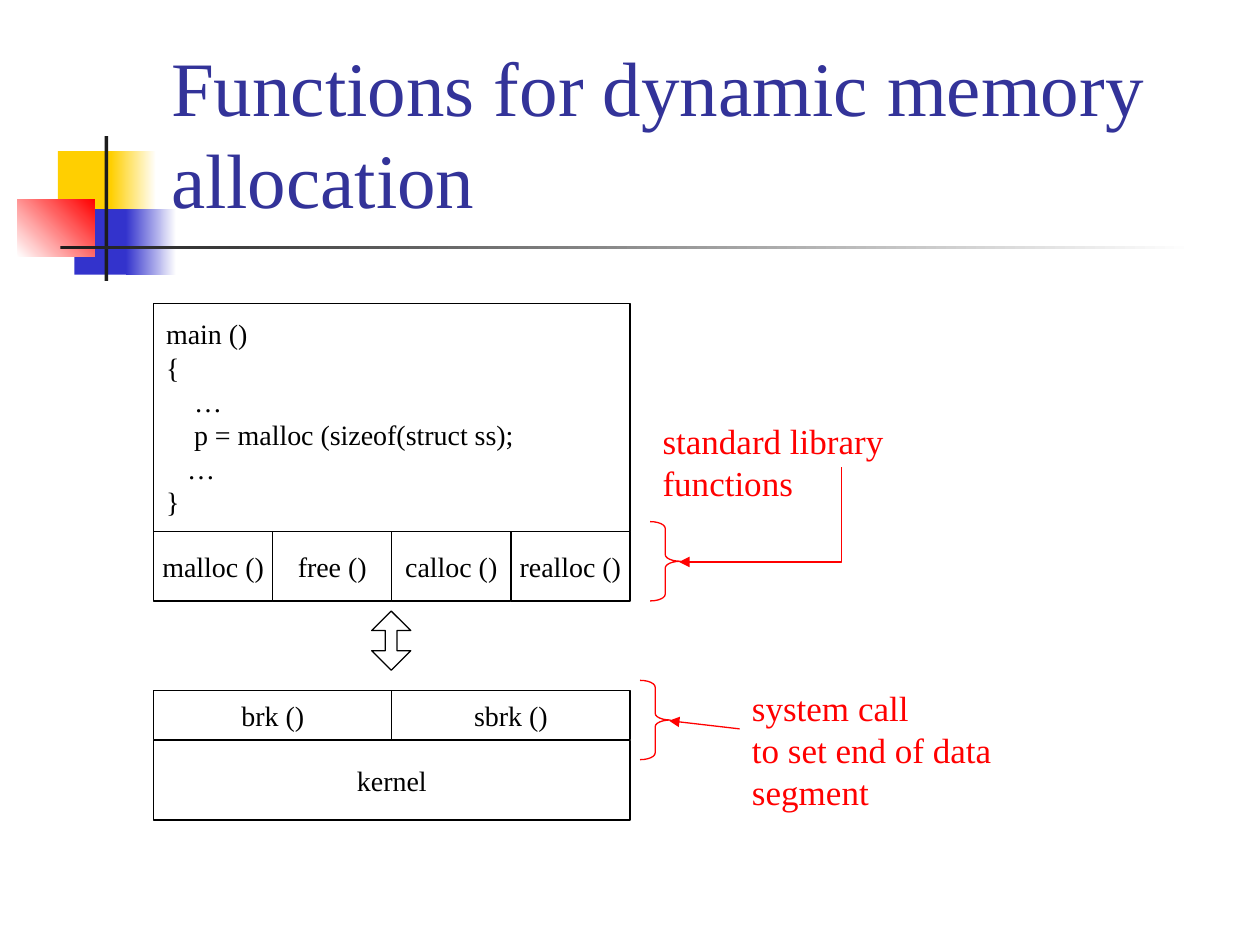
from dataclasses import dataclass

from lxml.etree import SubElement
from pptx import Presentation
from pptx.dml.color import RGBColor
from pptx.enum.shapes import MSO_CONNECTOR as Link, MSO_SHAPE as Shape
from pptx.enum.text import MSO_ANCHOR as Anchor, PP_ALIGN as Align
from pptx.oxml.ns import qn
from pptx.util import Inches, Pt


@dataclass(frozen=True)
class Theme:
    font: str = "Times New Roman"
    title: str = "333399"
    ink: str = "000000"
    note: str = "FF0000"
    yellow: str = "FFCF01"
    blue: str = "3333CC"
    red: str = "FF0000"
    dark: str = "1C1C1C"
    white: str = "FFFFFF"
    title_size: int = 44
    note_size: int = 20
    code_size: int = 16
    line_width: float = 0.75


class SlideBuilder:
    def __init__(self, slide, theme):
        self.slide = slide
        self.theme = theme

    def fill_text(self, box, lines, size, color, align, anchor, wrap=True):
        frame = box.text_frame
        frame.text = "\n".join(lines)
        frame.word_wrap = wrap
        frame.vertical_anchor = anchor
        for para in frame.paragraphs:
            para.alignment = align
            for span in para.runs:
                span.font.name = self.theme.font
                span.font.size = Pt(size)
                span.font.color.rgb = RGBColor.from_string(color)

    def shape(self, kind, area, adjustments=()):
        shape = self.slide.shapes.add_shape(kind, *map(Inches, area))
        shape.shadow.inherit = False
        for index, value in enumerate(adjustments):
            shape.adjustments[index] = value
        return shape

    def block(self, area, start, end=None, angle=0):
        block = self.shape(Shape.RECTANGLE, area)
        block.line.fill.background()
        if end is None:
            block.fill.solid()
            block.fill.fore_color.rgb = RGBColor.from_string(start)
            return
        block.fill.gradient()
        block.fill.gradient_angle = angle
        for stop, color in zip(block.fill.gradient_stops, (start, end)):
            stop.color.rgb = RGBColor.from_string(color)

    def outline(self, kind, area, color, adjustments=()):
        shape = self.shape(kind, area, adjustments)
        shape.fill.background()
        self.stroke(shape.line, color)
        return shape

    def stroke(self, line, color):
        line.color.rgb = RGBColor.from_string(color)
        line.width = Pt(self.theme.line_width)

    def cell(self, area, lines, align=Align.CENTER, wrap=False):
        box = self.outline(Shape.RECTANGLE, area, self.theme.ink)
        self.fill_text(box, lines, self.theme.code_size, self.theme.ink,
                       align, Anchor.MIDDLE, wrap)

    def row(self, left, top, width, height, labels):
        step = width / len(labels)
        for index, label in enumerate(labels):
            self.cell((left + index * step, top, step, height), [label])

    def text(self, area, lines, size, color, anchor=Anchor.TOP):
        box = self.slide.shapes.add_textbox(*map(Inches, area))
        self.fill_text(box, lines, size, color, Align.LEFT, anchor)
        return box

    def note(self, area, lines):
        return self.text(area, lines, self.theme.note_size, self.theme.note)

    def brace(self, left, top):
        self.outline(Shape.RIGHT_BRACE, (left, top, 0.24, 0.63),
                     self.theme.note, (0.222, 0.5))

    def arrow(self, kind, start, end):
        arrow = self.slide.shapes.add_connector(
            kind, *map(Inches, (*start, *end)))
        self.stroke(arrow.line, self.theme.note)
        properties = arrow._element.spPr
        SubElement(properties.find(qn("a:ln")), qn("a:tailEnd"), type="triangle")
        SubElement(properties, qn("a:effectLst"))
        return arrow

    def corner_arrow(self, start, end):
        arrow = self.arrow(Link.ELBOW, start, end)
        across, down = start[0] - end[0], end[1] - start[1]
        middle_x, middle_y = (start[0] + end[0]) / 2, (start[1] + end[1]) / 2
        properties = arrow._element.spPr
        properties.find(qn("a:prstGeom")).set("prst", "bentConnector2")
        frame = properties.find(qn("a:xfrm"))
        frame.attrib.pop("flipH", None)
        frame.set("rot", "5400000")
        arrow.left, arrow.top = Inches(middle_x - down / 2), Inches(middle_y - across / 2)
        arrow.width, arrow.height = Inches(down), Inches(across)


def main():
    theme = Theme()
    deck = Presentation()
    deck.slide_width, deck.slide_height = Inches(10), Inches(7.5)
    page = SlideBuilder(deck.slides.add_slide(deck.slide_layouts[6]), theme)

    page.block((0.46, 1.2, 0.48, 0.52), theme.yellow)
    page.block((0.88, 1.2, 0.36, 0.52), theme.yellow, theme.white)
    page.block((0.59, 1.66, 0.46, 0.52), theme.blue)
    page.block((1, 1.66, 0.4, 0.52), theme.blue, theme.white)
    page.block((0.14, 1.58, 0.61, 0.46), theme.white, theme.red, 45)
    page.block((0.83, 1.08, 0.03, 1.15), theme.dark)
    page.block((0.48, 1.95, 9, 0.03), theme.dark, theme.white)

    page.text((1.26, 0.23, 8.52, 1.6), ["Functions for dynamic memory allocation"],
              theme.title_size, theme.title, Anchor.BOTTOM)

    left, width = 1.22, 3.78
    program = [
        "main ()",
        "{",
        "    …",
        "    p = malloc (sizeof(struct ss);",
        "   …",
        "}",
    ]
    page.cell((left, 2.41, width, 1.81), program, Align.LEFT, True)
    page.row(left, 4.22, width, 0.55,
             ["malloc ()", "free ()", "calloc ()", "realloc ()"])
    page.row(left, 5.48, width, 0.39, ["brk ()", "sbrk ()"])
    page.cell((left, 5.88, width, 0.63), ["kernel"])
    page.outline(Shape.UP_DOWN_ARROW, (2.95, 4.85, 0.31, 0.47),
                 theme.ink, (0.5, 0.301))

    page.brace(5.16, 4.14)
    page.note((5.16, 3.28, 2.95, 0.43), ["standard library functions"])
    page.corner_arrow((6.68, 3.71), (5.39, 4.46))

    page.brace(5.08, 5.4)
    system_note = page.note((5.87, 5.4, 3, 0.77),
                            ["system call", "to set end of data segment"])
    system_arrow = page.arrow(Link.STRAIGHT, (5.87, 5.79), (5.31, 5.72))
    system_arrow.begin_connect(system_note, 1)

    deck.save("out.pptx")


if __name__ == "__main__":
    main()
